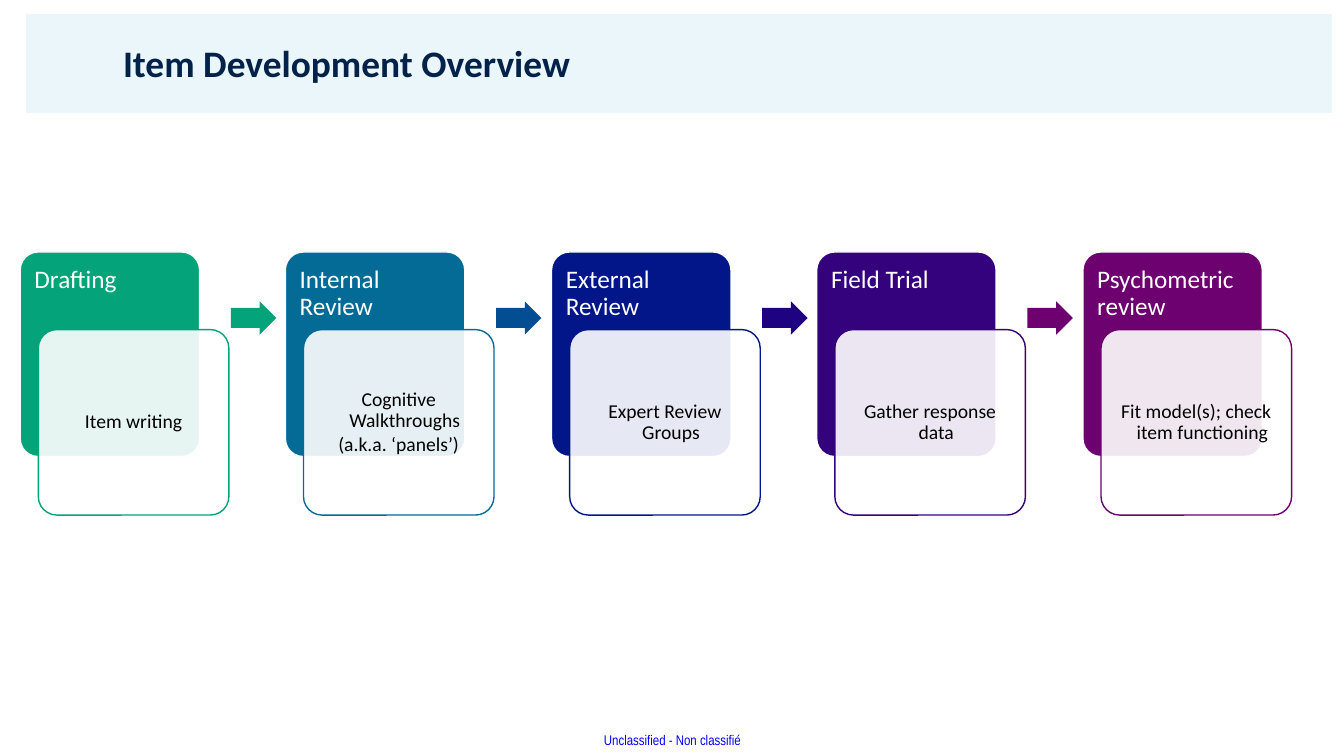
from pptx import Presentation
from pptx.dml.color import RGBColor
from pptx.enum.shapes import MSO_SHAPE
from pptx.enum.text import MSO_ANCHOR, MSO_AUTO_SIZE, PP_ALIGN
from pptx.oxml import parse_xml
from pptx.oxml.ns import nsdecls
from pptx.util import Pt

EMU_PER_PX = 9144  # 100 px to the inch

COLORS = {
    "band": "6FC5D5", "title": "022249", "marking": "0000FF",
    "white": "FFFFFF", "black": "000000",
    "green": "04A379", "teal": "036B96", "blue": "034D92", "navy": "021689",
    "indigo": "1F0281", "violet": "34027C", "purple": "6C016F",
}

# Heading, detail lines, card colour, colour of the arrow that follows
STAGES = [
    ("Drafting", ["Item writing"], "green", "green"),
    ("Internal Review", ["Cognitive Walkthroughs", "(a.k.a. ‘panels’)"], "teal", "blue"),
    ("External Review", ["Expert Review Groups"], "navy", "indigo"),
    ("Field Trial", ["Gather response data"], "violet", "purple"),
    ("Psychometric review", ["Fit model(s); check item functioning"], "purple", None),
]
FIRST_LEFT, LAST_LEFT = 20, 1074


def px(length):
    return length * EMU_PER_PX


class SlideBuilder:
    font_name = "Calibri"

    def __init__(self, slide):
        self.slide = slide

    def shape(self, kind, box, fill, opacity=100, line=None, adjustments=()):
        shape = self.slide.shapes.add_shape(kind, *map(px, box))
        shape.shadow.inherit = False
        for index, value in enumerate(adjustments):
            shape.adjustments[index] = value
        shape.fill.solid()
        shape.fill.fore_color.rgb = RGBColor.from_string(COLORS[fill])
        if opacity < 100:
            color = shape._element.spPr.find(".//{*}srgbClr")
            color.append(parse_xml(f'<a:alpha {nsdecls("a")} val="{opacity * 1000}"/>'))
        if line:
            shape.line.color.rgb = RGBColor.from_string(COLORS[line])
            shape.line.width = Pt(1)
        else:
            shape.line.fill.background()
        return shape

    def set_text(self, shape, lines, size, color, align=PP_ALIGN.LEFT, anchor=MSO_ANCHOR.TOP,
                 insets=None, spacing=0.9, after=0, hanging=0, bold=False, font=None, wrap=True):
        frame = shape.text_frame
        frame.text = "\n".join(lines)
        frame.auto_size = MSO_AUTO_SIZE.NONE
        frame.word_wrap = wrap
        frame.vertical_anchor = anchor
        if insets:
            (frame.margin_left, frame.margin_top,
             frame.margin_right, frame.margin_bottom) = map(px, insets)
        for paragraph in frame.paragraphs:
            paragraph.alignment = align
            paragraph.line_spacing = spacing
            paragraph.space_after = Pt(after)
            if hanging:
                properties = paragraph._p.get_or_add_pPr()
                properties.set("marL", str(px(hanging)))
                properties.set("indent", str(-px(hanging)))
                properties.append(parse_xml(f'<a:buNone {nsdecls("a")}/>'))
            paragraph.font.name = font or self.font_name
            paragraph.font.size = Pt(size)
            paragraph.font.bold = bold
            paragraph.font.color.rgb = RGBColor.from_string(COLORS[color])

    def title(self, text, box):
        title = self.slide.shapes.title
        title.left, title.top, title.width, title.height = map(px, box)
        self.slide.shapes._spTree.append(title._element)  # in front of the band
        self.set_text(title, [text], 26.7, "title", anchor=MSO_ANCHOR.MIDDLE, bold=True)

    def marking(self, text, box):
        textbox = self.slide.shapes.add_textbox(*map(px, box))
        self.set_text(textbox, [text], 10, "marking", insets=(0, 0, 0, 0), spacing=1.0,
                      font="Arial Narrow", wrap=False)

    def stage(self, left, heading, details, color, arrow_color):
        card = self.shape(MSO_SHAPE.ROUNDED_RECTANGLE, (left, 250, 178, 203), color,
                          line="white", adjustments=[0.1])
        self.set_text(card, [heading], 18, "white", insets=(9, 9, 9, 7))
        panel = self.shape(MSO_SHAPE.ROUNDED_RECTANGLE, (left + 18, 327, 189, 184), "white",
                           opacity=90, line=color, adjustments=[0.1])
        self.set_text(panel, details, 14, "black", PP_ALIGN.CENTER, MSO_ANCHOR.MIDDLE,
                      insets=(11, 11, 11, 11), after=2, hanging=12)
        if arrow_color:
            self.shape(MSO_SHAPE.RIGHT_ARROW, (left + 209, 299, 45, 33), arrow_color,
                       adjustments=[0.6, 0.5])


def main():
    presentation = Presentation()
    presentation.slide_width, presentation.slide_height = px(1333), px(750)
    builder = SlideBuilder(presentation.slides.add_slide(presentation.slide_layouts[5]))

    # Header band, classification marking and title
    builder.shape(MSO_SHAPE.RECTANGLE, (26, 14, 1295, 98), "band", opacity=14)
    builder.marking("Unclassified - Non classifié", (599, 726, 139, 17))
    builder.title("Item Development Overview", (112, 18, 1145, 94))

    # Process stages, evenly spaced
    for index, stage in enumerate(STAGES):
        left = FIRST_LEFT + index * (LAST_LEFT - FIRST_LEFT) // (len(STAGES) - 1)
        builder.stage(left, *stage)

    presentation.save("out.pptx")


if __name__ == "__main__":
    main()
